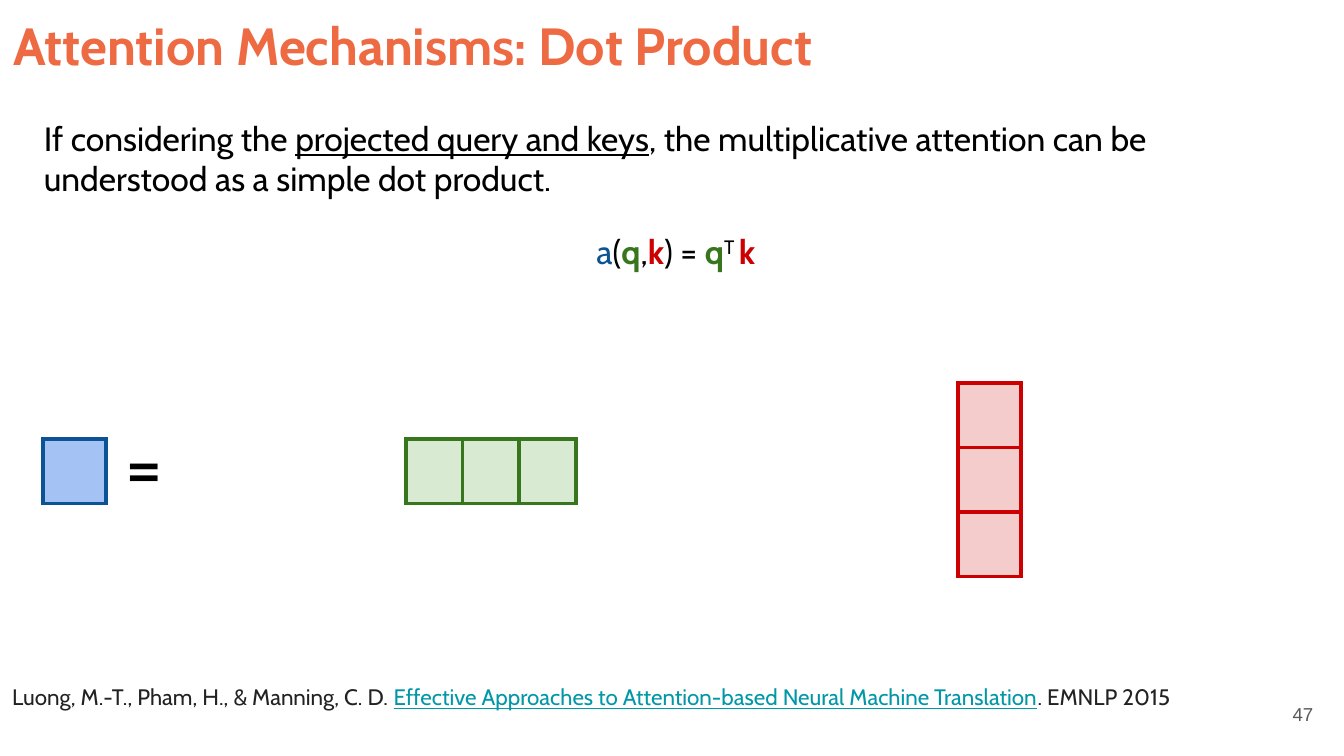
import pptx
import pptx.dml.color
import pptx.enum.text
import pptx.oxml
import pptx.oxml.ns
import pptx.util

Cm = pptx.util.Cm
Pt = pptx.util.Pt
ALIGN = pptx.enum.text.PP_ALIGN
ANCHOR = pptx.enum.text.MSO_ANCHOR

BLACK = "000000"
BLUE = "0B5394"
GREEN = "38761D"
RED = "CC0000"
CELL = 1.22


def color(hex_string):
    return pptx.dml.color.RGBColor.from_string(hex_string)


class SlideBuilder:
    """Holds the text style and the current slide."""

    font = "Cabin"
    inset = 0.25
    border = 2.25

    def __init__(self, presentation):
        self.slide = presentation.slides.add_slide(presentation.slide_layouts[6])

    def text(self, left, top, width, height, size, runs,
             align=ALIGN.LEFT, anchor=ANCHOR.TOP, font=None):
        """Each run is (text, colour, options), options being bold, underline, super."""
        shape = self.slide.shapes.add_textbox(Cm(left), Cm(top), Cm(width), Cm(height))
        frame = shape.text_frame
        frame.word_wrap = True
        frame.vertical_anchor = anchor
        frame.margin_left = frame.margin_right = Cm(self.inset)
        frame.margin_top = frame.margin_bottom = Cm(self.inset)
        paragraph = frame.paragraphs[0]
        paragraph.alignment = align
        for content, hex_string, *options in runs:
            run = paragraph.add_run()
            run.text = content
            run.font.name = font or self.font
            run.font.size = Pt(size)
            run.font.color.rgb = color(hex_string)
            run.font.bold = "bold" in options
            run.font.underline = "underline" in options
            if "super" in options:
                run._r.get_or_add_rPr().set("baseline", "30000")

    def matrix(self, left, top, rows, columns, cell_width, fill, line):
        """Draws a vector or scalar as a table of empty cells."""
        table = self.slide.shapes.add_table(
            rows, columns, Cm(left), Cm(top),
            Cm(columns * cell_width), Cm(rows * CELL)).table
        table.first_row = table.horz_banding = False
        for cell in table.iter_cells():
            self.cell_borders(cell, line)
            cell.fill.solid()
            cell.fill.fore_color.rgb = color(fill)

    def cell_borders(self, cell, line):
        properties = cell._tc.get_or_add_tcPr()
        for side in ("lnL", "lnR", "lnT", "lnB"):
            properties.append(pptx.oxml.parse_xml(
                f'<a:{side} {pptx.oxml.ns.nsdecls("a")} w="{Pt(self.border)}">'
                f'<a:solidFill><a:srgbClr val="{line}"/></a:solidFill></a:{side}>'))


def main():
    presentation = pptx.Presentation()
    presentation.slide_width = Cm(25.4)
    presentation.slide_height = Cm(14.29)
    builder = SlideBuilder(presentation)

    # Title and slide number
    builder.text(0, 0, 23.67, 1.6, 28,
                 [("Attention Mechanisms: Dot Product", "ED6A43", "bold")])
    builder.text(23.55, 12.95, 1.52, 1.09, 10, [("47", "595959")],
                 ALIGN.RIGHT, ANCHOR.MIDDLE, "Arial")

    # Explanation and formula
    builder.text(0.58, 1.98, 23.88, 2.06, 18, [
        ("If considering the ", BLACK),
        ("projected query and keys", BLACK, "underline"),
        (", the multiplicative attention can be understood as a simple dot product.", BLACK),
    ])
    builder.text(0, 4.11, 25.4, 1.65, 18, [
        (" ", BLACK), ("a", BLUE), ("(", BLACK), ("q", GREEN, "bold"),
        (",", BLACK), ("k", RED, "bold"), (") = ", BLACK), ("q", GREEN, "bold"),
        ("T ", BLACK, "super"), ("k", RED, "bold"),
    ], ALIGN.CENTER)

    # Score = query row times key column
    builder.matrix(0.81, 8.3, 1, 1, 1.19, "A4C2F4", BLUE)
    builder.text(2.13, 7.67, 2.41, 1.35, 40, [("=", BLACK)])
    builder.matrix(7.67, 8.3, 1, 3, 1.07, "D9EAD3", GREEN)
    builder.matrix(18.11, 7.24, 3, 1, 1.19, "F4CCCC", RED)

    # Citation
    builder.text(-0.02, 12.67, 22.86, 1.6, 12, [
        ("Luong, M.-T., Pham, H., & Manning, C. D. ", "222222"),
        ("Effective Approaches to Attention-based Neural Machine Translation",
         "0097A7", "underline"),
        (". EMNLP 2015", "222222"),
    ])

    presentation.save("out.pptx")


if __name__ == "__main__":
    main()
